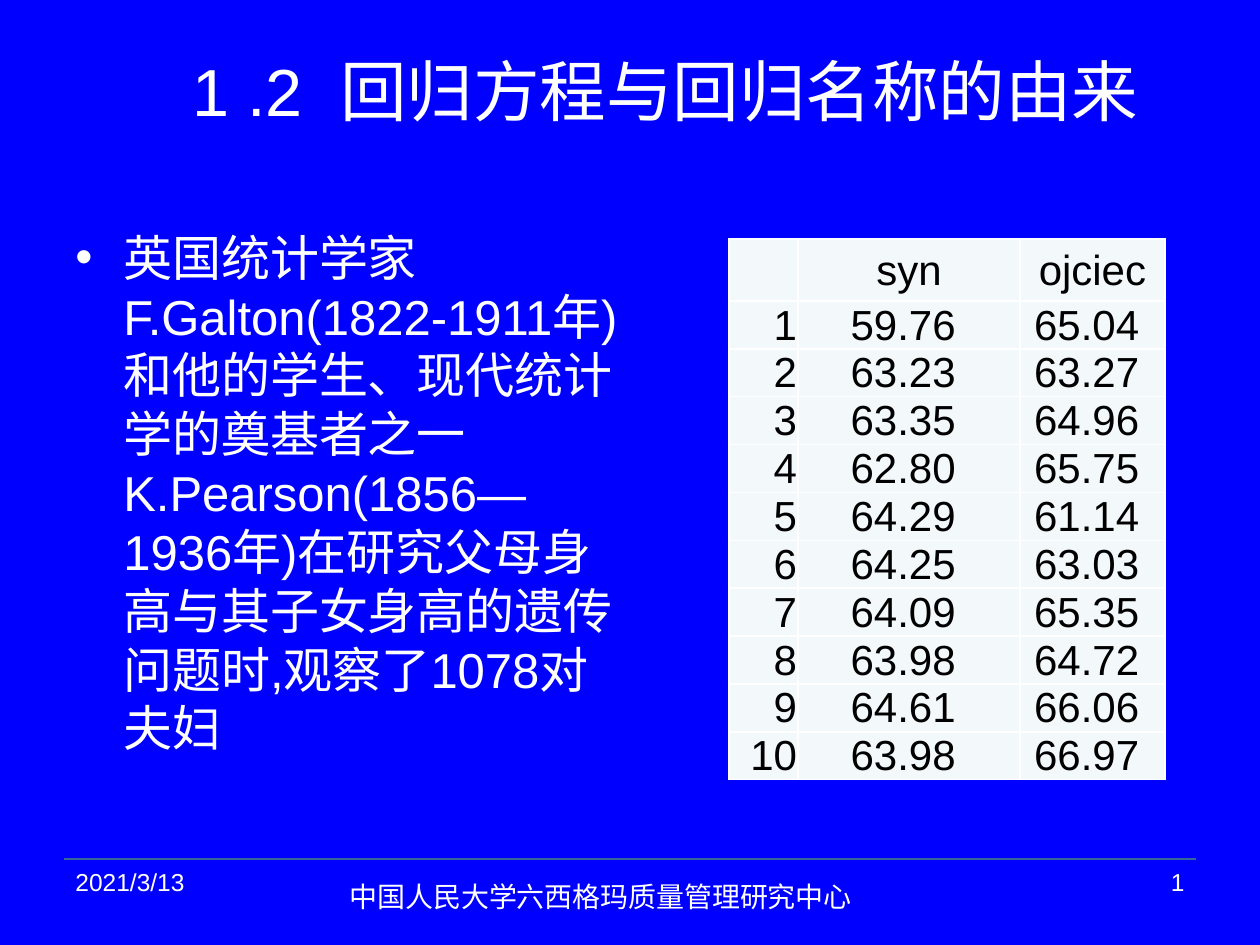
from lxml.etree import SubElement
from pptx import Presentation
from pptx.dml.color import RGBColor
from pptx.enum.shapes import MSO_CONNECTOR as Connector
from pptx.enum.text import MSO_ANCHOR as Anchor, MSO_AUTO_SIZE as AutoSize, PP_ALIGN as Align
from pptx.oxml.ns import qn
from pptx.util import Pt

SCALE = 914400 / 126
WHITE, BLACK, BLUE, PALE, STEEL = "FFFFFF", "000000", "0000FF", "F3F9FA", "336699"
HEADINGS = ["", "syn", "ojciec"]
HEIGHTS = [
    (59.76, 65.04), (63.23, 63.27), (63.35, 64.96), (62.80, 65.75), (64.29, 61.14),
    (64.25, 63.03), (64.09, 65.35), (63.98, 64.72), (64.61, 66.06), (63.98, 66.97),
]
BODY = (
    "英国统计学家F.Galton(1822-1911年)和他的学生、现代统计学的奠基者之一"
    "K.Pearson(1856—1936年)在研究父母身高与其子女身高的遗传问题时,观察了1078对夫妇"
)


def px(length):
    """Turn pixels into EMU."""
    return round(length * SCALE)


def colour(code):
    """Turn a hex string into a colour."""
    return RGBColor.from_string(code)


def assign(target, values):
    """Set each attribute named in a dict."""
    for name, value in values.items():
        setattr(target, name, value)


def write(frame, text, size, code=WHITE, align=Align.LEFT):
    """Write one formatted paragraph into a text frame and return it."""
    para = frame.paragraphs[0]
    para.alignment = align
    span = para.add_run()
    span.text = text
    assign(span.font, {"size": Pt(size), "name": "Arial", "bold": False})
    span.font.color.rgb = colour(code)
    return para


def place(box, left, top, width, height, anchor=Anchor.TOP):
    """Position a text shape and fix its wrapping and anchor."""
    bounds = {"left": left, "top": top, "width": width, "height": height}
    assign(box, {name: px(value) for name, value in bounds.items()})
    assign(box.text_frame, {
        "auto_size": AutoSize.NONE, "word_wrap": True, "vertical_anchor": anchor,
    })
    return box.text_frame


def add_text(page, bounds, text, size, align=Align.LEFT):
    """Add a text box with one paragraph and return the paragraph."""
    box = page.shapes.add_textbox(0, 0, 0, 0)
    return write(place(box, *bounds), text, size, align=align)


def add_bullet(para, indent):
    """Give a paragraph a round bullet with a hanging indent."""
    props = para._p.get_or_add_pPr()
    props.set("marL", str(px(indent)))
    props.set("indent", str(-px(indent)))
    SubElement(props, qn("a:buFont"), typeface="Arial")
    SubElement(props, qn("a:buChar"), char="•")


def add_rule(page, left, right, top):
    """Add the thin line above the footer."""
    rule = page.shapes.add_connector(Connector.STRAIGHT, px(left), px(top), px(right), px(top))
    rule.line.color.rgb = colour(STEEL)
    rule.line.width = Pt(0.75)
    SubElement(rule._element.spPr, qn("a:effectLst"))


def format_cell(cell, text, align):
    """Fill, border and write one table cell."""
    assign(cell, {
        "margin_left": px(1), "margin_right": px(1), "margin_top": px(1),
        "margin_bottom": 0, "vertical_anchor": Anchor.MIDDLE,
    })
    props = cell._tc.get_or_add_tcPr()
    for side in ("lnL", "lnR", "lnT", "lnB"):
        border = SubElement(props, qn(f"a:{side}"), w=str(Pt(1)))
        fill = SubElement(border, qn("a:solidFill"))
        SubElement(fill, qn("a:srgbClr"), val=WHITE)
    cell.fill.solid()
    cell.fill.fore_color.rgb = colour(PALE)
    if text:
        write(cell.text_frame, text, 24, BLACK, align)


def add_height_table(page, left, top, widths, head_height, row_height):
    """Add the table of paired heights."""
    rows = [HEADINGS] + [
        [str(number), *(f"{value:.2f} " for value in pair)]
        for number, pair in enumerate(HEIGHTS, 1)
    ]
    total = head_height + row_height * len(HEIGHTS)
    table = page.shapes.add_table(
        len(rows), len(widths), px(left), px(top), px(sum(widths)), px(total)
    ).table
    assign(table, {"first_row": False, "horz_banding": False})
    for column, width in zip(table.columns, widths):
        column.width = px(width)
    for index, texts in enumerate(rows):
        table.rows[index].height = px(row_height if index else head_height)
        for position, text in enumerate(texts):
            align = Align.CENTER if position else Align.RIGHT
            format_cell(table.cell(index, position), text, align)


def main():
    """Build the slide and save it."""
    deck = Presentation()
    assign(deck, {"slide_width": px(1260), "slide_height": px(945)})
    page = deck.slides.add_slide(deck.slide_layouts[5])
    page.background.fill.solid()
    page.background.fill.fore_color.rgb = colour(BLUE)
    add_rule(page, 64, 1196, 859)
    title = place(page.shapes.title, 105, 35, 1121, 110, Anchor.MIDDLE)
    write(title, "1 .2  回归方程与回归名称的由来", 38, align=Align.CENTER)
    add_text(page, (63, 861, 294, 66), "2021/3/13", 14)
    add_text(page, (903, 861, 294, 66), "1", 14, Align.RIGHT)
    add_text(page, (323, 873, 556, 66), "中国人民大学六西格玛质量管理研究中心", 16, Align.CENTER)
    add_bullet(add_text(page, (63, 221, 567, 624), BODY, 28), 48)
    add_height_table(page, 729, 239, [69, 222, 145], 62, 47)
    deck.save("out.pptx")


if __name__ == "__main__":
    main()
